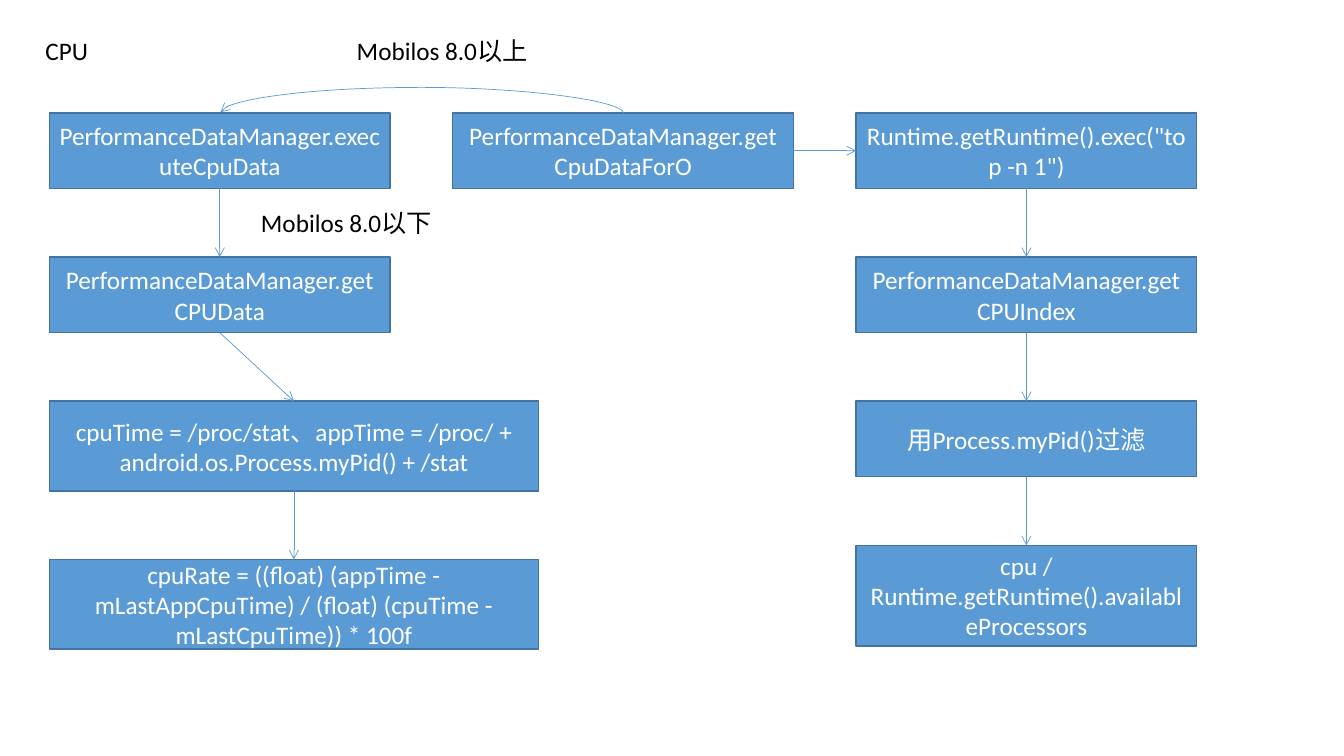
from lxml import etree
from pptx import Presentation
from pptx import util as u
from pptx.dml.color import RGBColor
from pptx.enum import shapes, text
from pptx.oxml.ns import qn

HUES = {"fill": "5B9BD5", "edge": "43739E", "ink": "000000", "pale": "FFFFFF"}
LEFT, PITCH = 0.49, 4      # first column and column step, inches
TOP, GAP = 1.12, 0.68      # first row and gap between rows, inches
WIDE, BROAD = 3.38, 4.85   # box widths
LOW, MID, TALL = 0.75, 0.89, 1
LINK = shapes.MSO_CONNECTOR
UP, WEST, DOWN, EAST = range(4)  # connection sites of a rectangle

OLD = [
    ("PerformanceDataManager.executeCpuData", WIDE, LOW),
    ("PerformanceDataManager.getCPUData", WIDE, LOW),
    ("cpuTime = /proc/stat、appTime = /proc/ + android.os.Process.myPid() + /stat",
     BROAD, MID),
    ("cpuRate = ((float) (appTime - mLastAppCpuTime) / "
     "(float) (cpuTime - mLastCpuTime)) * 100f", BROAD, MID),
]
NEW = [("PerformanceDataManager.getCpuDataForO", WIDE, LOW)]
TOPCMD = [
    ('Runtime.getRuntime().exec("top -n 1")', WIDE, LOW),
    ("PerformanceDataManager.getCPUIndex", WIDE, LOW),
    ("用Process.myPid()过滤", WIDE, LOW),
    ("cpu / Runtime.getRuntime().availableProcessors", WIDE, TALL),
]


def hue(name):
    return RGBColor.from_string(HUES[name])


def write(shape, words, ink, align, anchor):
    frame = shape.text_frame
    frame.text = words
    frame.vertical_anchor = anchor
    para = frame.paragraphs[0]
    para.alignment = align
    para.font.name = "Calibri"
    para.font.size = u.Pt(18)
    para.font.color.rgb = hue(ink)


def label(shape, words):
    write(shape, words, "ink", text.PP_ALIGN.LEFT, text.MSO_ANCHOR.TOP)
    shape.text_frame.word_wrap = False
    shape.text_frame.auto_size = text.MSO_AUTO_SIZE.SHAPE_TO_FIT_TEXT


def note(slide, words, x, y):
    label(slide.shapes.add_textbox(u.Inches(x), u.Inches(y), u.Inches(2), u.Inches(0.4)),
          words)


def head(slide, words):
    title = slide.shapes.title
    title.left, title.top = u.Inches(0.35), u.Inches(0.3)
    title.width, title.height = u.Inches(0.72), u.Inches(0.4)
    label(title, words)


def box(slide, words, x, y, wide, high):
    rect = slide.shapes.add_shape(
        shapes.MSO_SHAPE.RECTANGLE, *map(u.Inches, (x, y, wide, high)))
    rect.shadow.inherit = False
    rect.fill.solid()
    rect.fill.fore_color.rgb = hue("fill")
    rect.line.color.rgb = hue("edge")
    rect.line.width = u.Pt(1)
    write(rect, words, "pale", text.PP_ALIGN.CENTER, text.MSO_ANCHOR.MIDDLE)
    return rect


def arrow(slide, start, exit, end, entry, kind=LINK.STRAIGHT):
    line = slide.shapes.add_connector(kind, 0, 0, 0, 0)
    line.begin_connect(start, exit)
    line.end_connect(end, entry)
    line.line.color.rgb = hue("fill")
    line.line.width = u.Pt(0.5)
    stroke = line.line._get_or_add_ln()
    etree.SubElement(stroke, qn("a:tailEnd"), type="arrow")
    etree.SubElement(line._element.spPr, qn("a:effectLst"))
    return line


def arch(slide, start, end):
    """Join two box tops with a curve that rises above both."""
    line = arrow(slide, start, UP, end, UP, LINK.CURVE)
    span = end.left - start.left
    line.left = start.left + start.width // 2 + span // 2
    line.top = start.top - span // 2
    line.width, line.height = u.Pt(1), span
    props = line._element.spPr
    props.find(qn("a:xfrm")).set("rot", "16200000")
    guides = props.find(qn("a:prstGeom")).get_or_add_avLst()
    etree.SubElement(guides, qn("a:gd"), name="adj1", fmla="val 1885000")


def stack(slide, col, steps):
    """Place boxes down a column, each joined to the next."""
    y, made = TOP, []
    for words, wide, high in steps:
        made.append(box(slide, words, LEFT + col * PITCH, y, wide, high))
        y += high + GAP
    for upper, lower in zip(made, made[1:]):
        arrow(slide, upper, DOWN, lower, UP)
    return made[0]


def main():
    deck = Presentation()
    deck.slide_width, deck.slide_height = u.Inches(13.33), u.Inches(7.5)
    slide = deck.slides.add_slide(deck.slide_layouts[5])
    head(slide, "CPU")
    first, second, third = (
        stack(slide, col, steps) for col, steps in enumerate((OLD, NEW, TOPCMD)))
    arch(slide, first, second)
    arrow(slide, second, EAST, third, WEST)
    note(slide, "Mobilos 8.0以上", 3.44, 0.3)
    note(slide, "Mobilos 8.0以下", 2.49, 2.01)
    deck.save("out.pptx")


if __name__ == "__main__":
    main()
